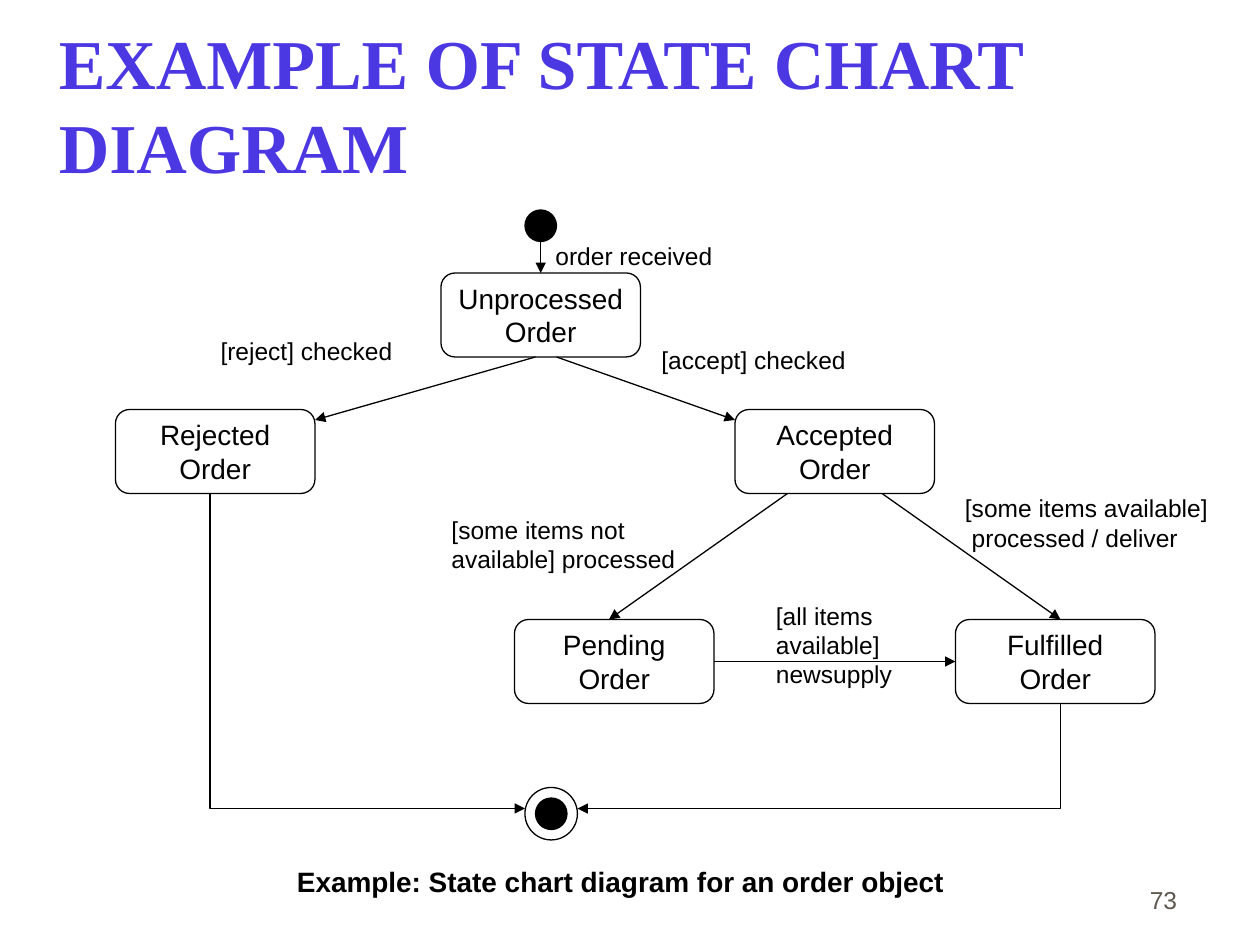
from lxml.etree import SubElement
from pptx import Presentation
from pptx.dml.color import RGBColor
from pptx.enum.shapes import MSO_CONNECTOR as Line, MSO_SHAPE as Kind
from pptx.enum.text import MSO_ANCHOR as Anchor, MSO_AUTO_SIZE as Fit, PP_ALIGN as Align
from pptx.oxml.ns import qn
from pptx.util import Pt

PX = 7620  # 120 px to the inch
BLACK = RGBColor(0, 0, 0)
BLUE = RGBColor(0x4C, 0x38, 0xE2)
GREY = RGBColor(0x5E, 0x57, 0x4E)
SANS, SERIF = "Arial", "Times New Roman"

STATE_W, STATE_H = 190, 80
STATES = {
    "Unprocessed": (310, 60),
    "Fulfilled": (800, 390),
    "Pending": (380, 390),
    "Accepted": (590, 190),
    "Rejected": (0, 190),
}
DOTS = [(390, 0), (400, 560)]
ROUTES = [
    [(90, 270), (90, 570), (390, 570)],
    [(900, 470), (900, 570), (440, 570)],
]
ARROWS = [
    (400, 140, 190, 200),
    (420, 140, 590, 200),
    (640, 270, 470, 390),
    (730, 270, 900, 390),
]
LABELS = [
    (419, 30, 150, ["order received"]),
    (100, 120, 164, ["[reject] checked"]),
    (520, 129, 182, ["[accept] checked"]),
    (320, 290, 214, ["[some items not", "available] processed"]),
    (629, 372, 114, ["[all items", "available]", "newsupply"]),
    (809, 270, 232, ["[some items available]", " processed / deliver"]),
]


def emu(*nums):
    return [n * PX for n in nums]


def write(frame, lines, size, color=BLACK, font=SANS, bold=False, align=Align.LEFT):
    for i, line in enumerate(lines):
        para = frame.add_paragraph() if i else frame.paragraphs[0]
        para.alignment = align
        run = para.add_run()
        run.text = line
        run.font.size = Pt(size)
        run.font.name = font
        run.font.bold = bold
        run.font.color.rgb = color


def add_text(slide, box, lines, size, pad=(12, 6), wrap=False, anchor=Anchor.TOP, **look):
    frame = slide.shapes.add_textbox(*emu(*box)).text_frame
    frame.word_wrap = wrap
    frame.auto_size = Fit.NONE if wrap else Fit.SHAPE_TO_FIT_TEXT
    frame.vertical_anchor = anchor
    frame.margin_left = frame.margin_right = pad[0] * PX
    frame.margin_top = frame.margin_bottom = pad[1] * PX
    write(frame, lines, size, **look)


def ink(shape, fill=None):
    """Give a shape a thin black outline and a fill, if any."""
    shape.shadow.inherit = False
    shape.line.color.rgb = BLACK
    shape.line.width = Pt(0.75)
    if fill is None:
        shape.fill.background()
    else:
        shape.fill.solid()
        shape.fill.fore_color.rgb = fill


def add_head(shape):
    SubElement(shape.line._get_or_add_ln(), qn("a:tailEnd"), type="triangle")


def add_state(slide, name, x, y):
    state = slide.shapes.add_shape(Kind.ROUNDED_RECTANGLE, *emu(x, y, STATE_W, STATE_H))
    ink(state)
    frame = state.text_frame
    frame.word_wrap = False
    frame.vertical_anchor = Anchor.MIDDLE
    write(frame, [name, "Order"], 16, align=Align.CENTER)
    return state


def add_disc(slide, x, y, size, fill=None):
    ink(slide.shapes.add_shape(Kind.OVAL, *emu(x, y, size, size)), fill)


def add_route(slide, points):
    """Draw an angled arrow through the points."""
    start, *rest = [emu(*point) for point in points]
    pen = slide.shapes.build_freeform(*start)
    pen.add_line_segments(rest, close=False)
    route = pen.convert_to_shape()
    ink(route)
    add_head(route)


def add_arrow(slide, x1, y1, x2, y2):
    arrow = slide.shapes.add_connector(Line.STRAIGHT, *emu(x1, y1, x2, y2))
    arrow.line.color.rgb = BLACK
    arrow.line.width = Pt(0.75)
    add_head(arrow)
    SubElement(arrow._element.spPr, qn("a:effectLst"))
    return arrow


def add_chart(slide, left, top):
    """Draw the state diagram with its corner at left, top."""
    states = {
        name: add_state(slide, name, left + x, top + y) for name, (x, y) in STATES.items()
    }
    for x, y in DOTS:
        add_disc(slide, left + x, top + y, 30, BLACK)
    add_disc(slide, left + 390, top + 550, 50)
    for points in ROUTES:
        add_route(slide, [(left + x, top + y) for x, y in points])
    for x1, y1, x2, y2 in ARROWS:
        add_arrow(slide, left + x1, top + y1, left + x2, top + y2)

    supply = add_arrow(slide, left + 570, top + 430, left + 800, top + 430)
    supply.begin_connect(states["Pending"], 3)
    supply.end_connect(states["Fulfilled"], 1)
    entry = add_arrow(slide, left + 405, top + 30, left + 405, top + 60)
    entry.end_connect(states["Unprocessed"], 0)

    for x, y, width, lines in LABELS:
        box = (left + x, top + y, width, 28 * len(lines))
        add_text(slide, box, lines, 14, pad=(0, 0))


def main():
    deck = Presentation()
    deck.slide_width, deck.slide_height = emu(1200, 900)
    slide = deck.slides.add_slide(deck.slide_layouts[6])
    add_text(slide, (883, 817, 250, 60), ["73"], 14, wrap=True,
             anchor=Anchor.BOTTOM, color=GREY, align=Align.RIGHT)
    add_text(slide, (53, 24, 1020, 150), ["EXAMPLE OF STATE CHART DIAGRAM"], 40,
             pad=(3, 6), wrap=True, anchor=Anchor.MIDDLE,
             color=BLUE, font=SERIF, bold=True)
    add_chart(slide, 110, 200)
    add_text(slide, (271, 817, 640, 44),
             ["Example: State chart diagram for an order object"], 16, bold=True)
    deck.save("out.pptx")


if __name__ == "__main__":
    main()
